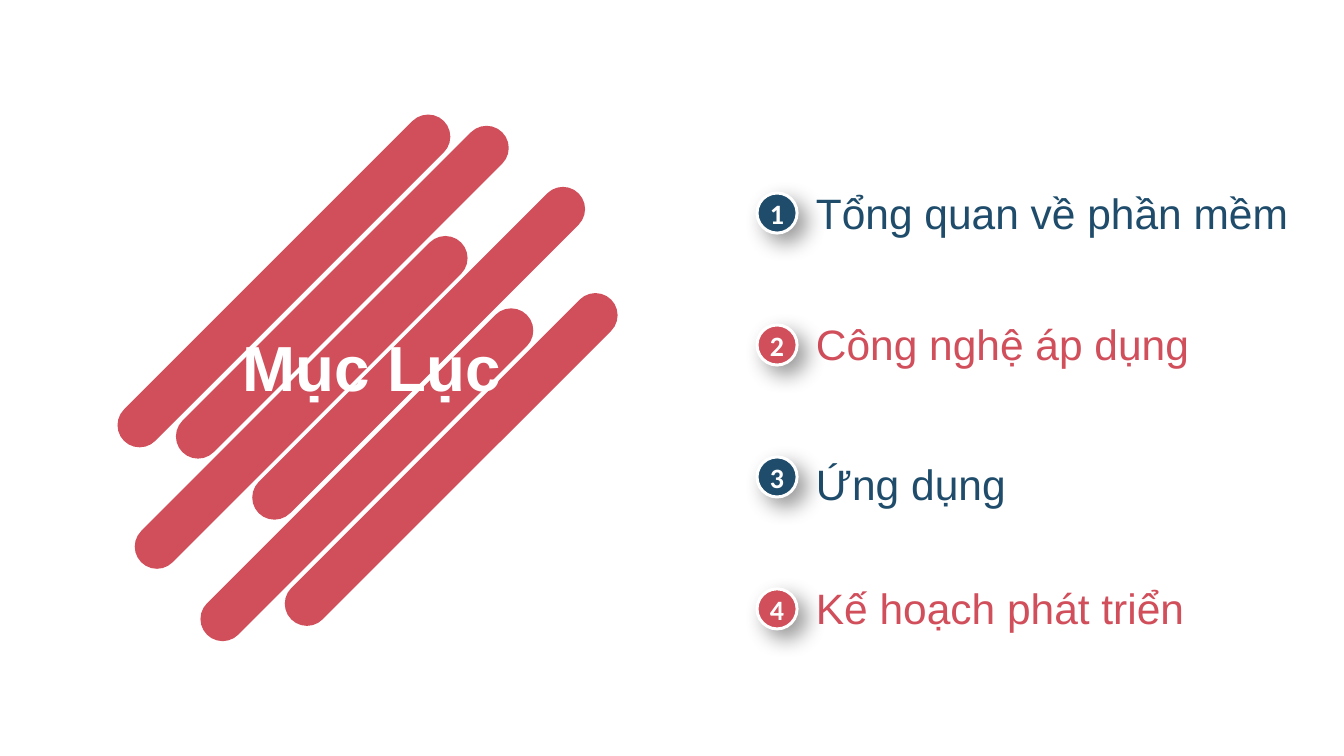
from dataclasses import dataclass
from math import cos, radians, sin

from lxml import etree
from pptx import Presentation
from pptx.dml.color import RGBColor
from pptx.enum.shapes import MSO_SHAPE
from pptx.enum.text import MSO_ANCHOR, MSO_AUTO_SIZE, PP_ALIGN
from pptx.oxml.ns import qn
from pptx.util import Pt

OVAL = MSO_SHAPE.OVAL
TOP, MIDDLE = MSO_ANCHOR.TOP, MSO_ANCHOR.MIDDLE
NO_FIT = MSO_AUTO_SIZE.NONE
LEFT, CENTER = PP_ALIGN.LEFT, PP_ALIGN.CENTER


@dataclass(frozen=True)
class Theme:
    navy: RGBColor = RGBColor(0x1F, 0x4C, 0x6B)
    red: RGBColor = RGBColor(0xD1, 0x4E, 0x5B)
    white: RGBColor = RGBColor(0xFF, 0xFF, 0xFF)
    text_font: str = "Arial"
    number_font: str = "Calibri"
    title_size: float = 48
    item_size: float = 32
    number_size: float = 21.1


@dataclass(frozen=True)
class Item:
    text: str
    space_before: float


THEME = Theme()
ITEMS = [
    Item("Tổng quan về phần mềm", 0),
    Item("Công nghệ áp dụng", 60.4),
    Item("Ứng dụng", 66.9),
    Item("Kế hoạch phát triển", 55.4),
]

# Upper end centres of the diagonal stripes, which share length and radius
STRIPES = [(322.5, 103), (366.5, 111.5), (424, 157.5),
           (335.5, 194.5), (385, 249), (448.5, 237.5)]
STRIPE_SPAN, STRIPE_RADIUS, ARC_STEP = 217.3, 16.7, 15

BADGE_LEFT, BADGE_TOP, BADGE_SIZE, BADGE_PITCH = 570.2, 145.4, 30.2, 99.4


def item_color(index: int) -> RGBColor:
    return THEME.red if index % 2 else THEME.navy


def place(sp, left: float, top: float, width: float, height: float) -> None:
    sp.left, sp.top, sp.width, sp.height = map(Pt, (left, top, width, height))


def set_frame(tf, anchor) -> None:
    tf.margin_left = tf.margin_top = tf.margin_right = tf.margin_bottom = 0
    tf.word_wrap = True
    tf.auto_size = NO_FIT
    tf.vertical_anchor = anchor


def add_run(p, text: str, font: str, size: float, color: RGBColor, bold: bool) -> None:
    r = p.add_run()
    r.text = text
    r.font.name, r.font.size, r.font.bold = font, Pt(size), bold
    r.font.color.rgb = color


def stripe_outline(x: float, y: float) -> list[tuple[int, int]]:
    """Half circle at the upper end, then half circle at the lower end."""
    ends = [(x, y, -135), (x - STRIPE_SPAN, y + STRIPE_SPAN, 45)]
    return [(Pt(cx + STRIPE_RADIUS * cos(radians(a))),
             Pt(cy + STRIPE_RADIUS * sin(radians(a))))
            for cx, cy, start in ends
            for a in range(start, start + 181, ARC_STEP)]


def add_stripes(slide) -> None:
    outlines = [stripe_outline(x, y) for x, y in STRIPES]
    builder = slide.shapes.build_freeform(*outlines[0][0])
    for i, points in enumerate(outlines):
        if i:
            builder.move_to(*points[0])
        builder.add_line_segments(points[1:], close=True)
    sp = builder.convert_to_shape()
    sp.shadow.inherit = False
    sp.fill.solid()
    sp.fill.fore_color.rgb = THEME.red
    sp.line.fill.background()


def add_soft_shadow(sp) -> None:
    sp.shadow.inherit = False
    effects = sp._element.spPr.find(qn("a:effectLst"))
    shadow = etree.SubElement(effects, qn("a:outerShdw"), blurRad=str(Pt(16)),
                              dist=str(Pt(9)), dir="2700000", algn="tl", rotWithShape="0")
    color = etree.SubElement(shadow, qn("a:srgbClr"), val="000000")
    etree.SubElement(color, qn("a:alpha"), val="40000")


def add_badge(slide, index: int) -> None:
    top = BADGE_TOP + index * BADGE_PITCH
    sp = slide.shapes.add_shape(OVAL, Pt(BADGE_LEFT), Pt(top), Pt(BADGE_SIZE), Pt(BADGE_SIZE))
    sp.fill.solid()
    sp.fill.fore_color.rgb = item_color(index)
    sp.line.color.rgb = THEME.white
    sp.line.width = Pt(2.25)
    add_soft_shadow(sp)
    set_frame(sp.text_frame, MIDDLE)
    p = sp.text_frame.paragraphs[0]
    p.alignment = CENTER
    add_run(p, str(index + 1), THEME.number_font, THEME.number_size, THEME.white, True)


def fill_list(body) -> None:
    place(body, 614.5, 140.7, 385, 335)
    tf = body.text_frame
    set_frame(tf, TOP)
    for i, item in enumerate(ITEMS):
        p = tf.add_paragraph() if i else tf.paragraphs[0]
        p.alignment = LEFT
        p.line_spacing = 1.0
        p.space_before = Pt(item.space_before)
        p_pr = p._p.get_or_add_pPr()
        p_pr.set("marL", "0")
        p_pr.set("indent", "0")
        etree.SubElement(p_pr, qn("a:buNone"))
        add_run(p, item.text, THEME.text_font, THEME.item_size, item_color(i), False)


def fill_title(title) -> None:
    place(title, 160, 247, 240.5, 58.3)
    set_frame(title.text_frame, TOP)
    p = title.text_frame.paragraphs[0]
    p.alignment = CENTER
    add_run(p, "Mục Lục", THEME.text_font, THEME.title_size, THEME.white, True)


def main() -> None:
    prs = Presentation()
    prs.slide_width, prs.slide_height = Pt(1012.3), Pt(569.5)
    slide = prs.slides.add_slide(prs.slide_layouts[1])

    # Stripes, with the title brought in front of them
    add_stripes(slide)
    title = slide.shapes.title
    fill_title(title)
    slide.shapes._spTree.append(title._element)

    # Numbered contents
    fill_list(slide.placeholders[1])
    for i in range(len(ITEMS)):
        add_badge(slide, i)

    prs.save("out.pptx")


if __name__ == "__main__":
    main()
